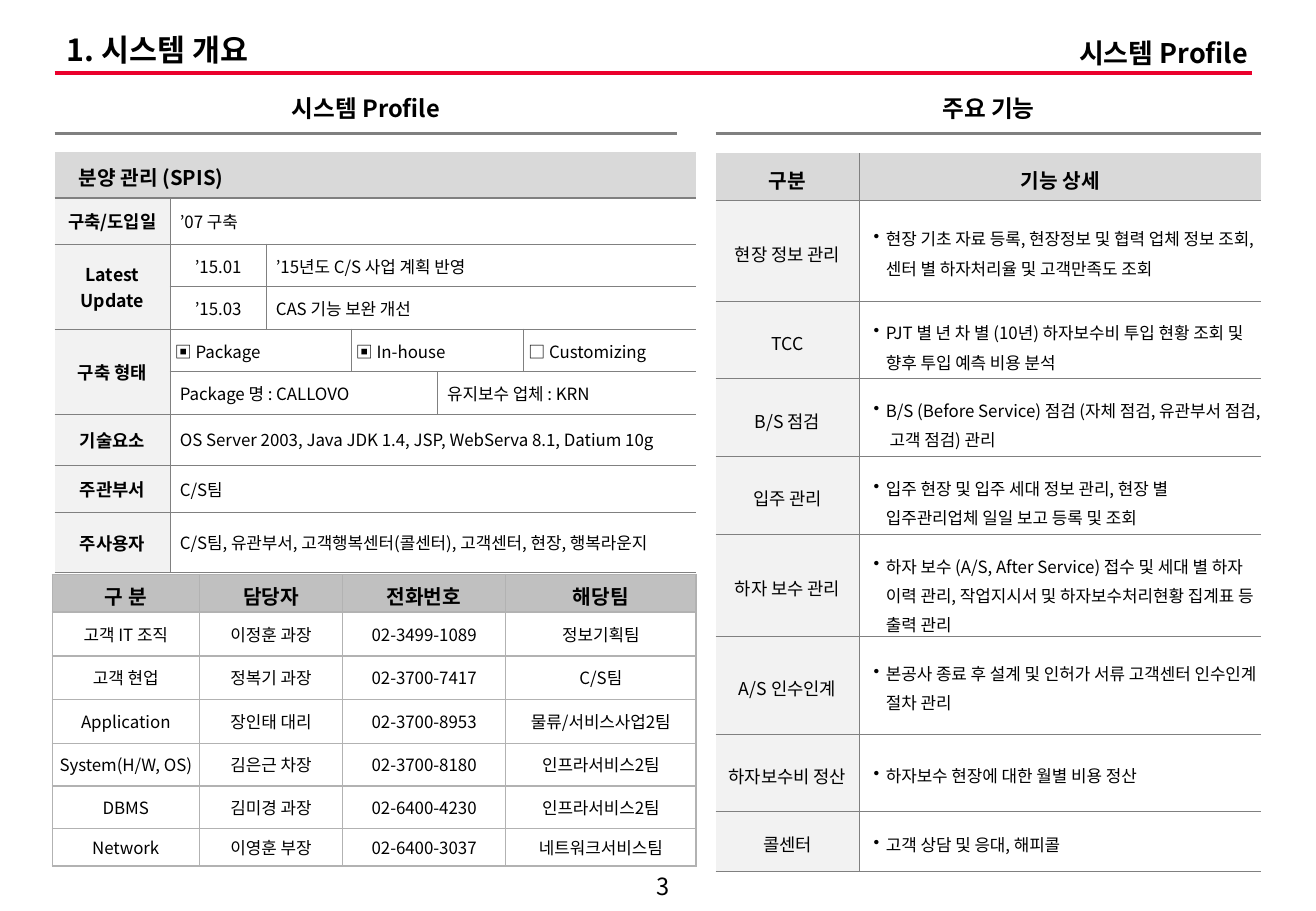
from lxml.etree import SubElement
from pptx import Presentation
from pptx.dml.color import RGBColor
from pptx.enum.shapes import MSO_CONNECTOR
from pptx.enum.text import MSO_ANCHOR as ANCHOR, MSO_AUTO_SIZE as AUTO, PP_ALIGN as ALIGN
from pptx.oxml.ns import qn
from pptx.util import Inches, Pt

FONT = "Noto Sans CJK KR"
GRAY = "808080"
LEFT, CENTER, RIGHT = ALIGN.LEFT, ALIGN.CENTER, ALIGN.RIGHT
SPACED = {"line_spacing": 1.2, "space_before": Pt(2), "space_after": Pt(2)}
RAISED = {"space_before": Pt(2)}

STYLES = {
    "banner": dict(size=12, bold=True, align=LEFT, fill="D9D9D9", pad=(0.2, 0.08, 0.04)),
    "label": dict(size=10.5, bold=True, fill="F2F2F2", pad=(0, 0.08, 0)),
    "value": dict(align=LEFT, fill="FFFFFF", pad=(0.08, 0.08, 0.08)),
    "month": dict(fill="FFFFFF", pad=(0.08, 0.08, 0.08)),
    "option": dict(align=LEFT, fill="FFFFFF", pad=(0.04, 0.08, 0.04)),
    "contact_head": dict(size=12, bold=True, fill="C0C0C0", pad=(0.11, 0.05, 0.11), para=RAISED),
    "contact_role": dict(pad=(0, 0.05, 0), para=RAISED),
    "contact": dict(pad=(0.11, 0.05, 0.11), para=RAISED),
    "feature_head": dict(size=12, bold=True, fill="D9D9D9", pad=(0.04, 0.04, 0.04), para=SPACED),
    "feature": dict(size=10.5, fill="F2F2F2", pad=(0.04, 0.04, 0.04), para=SPACED),
    "detail": dict(align=LEFT, fill="FFFFFF", pad=(0.12, 0.12, 0.04), para=SPACED, bullet=True),
}

PROFILE = [
    (0, 0, 1, 6, "분양 관리 (SPIS)", "banner"),
    (1, 0, 1, 1, "구축/도입일", "label"),
    (1, 1, 1, 5, "’07 구축", "value"),
    (2, 0, 2, 1, "Latest\nUpdate", "label"),
    (2, 1, 1, 1, "’15.01", "month"),
    (2, 2, 1, 4, "’15년도 C/S 사업 계획 반영", "value"),
    (3, 1, 1, 1, "’15.03", "month"),
    (3, 2, 1, 4, "CAS 기능 보완 개선", "value"),
    (4, 0, 2, 1, "구축 형태", "label"),
    (4, 1, 1, 2, "▣ Package", "option"),
    (4, 3, 1, 2, "▣ In-house", "option"),
    (4, 5, 1, 1, "□ Customizing", "option"),
    (5, 1, 1, 3, "Package 명 : CALLOVO", "value"),
    (5, 4, 1, 2, "유지보수 업체 : KRN", "value"),
    (6, 0, 1, 1, "기술요소", "label"),
    (6, 1, 1, 5, "OS Server 2003, Java JDK 1.4, JSP, WebServa 8.1, Datium 10g", "value"),
    (7, 0, 1, 1, "주관부서", "label"),
    (7, 1, 1, 5, "C/S팀", "value"),
    (8, 0, 1, 1, "주사용자", "label"),
    (8, 1, 1, 5, "C/S팀, 유관부서, 고객행복센터(콜센터), 고객센터, 현장, 행복라운지", "value"),
]

CONTACTS = [
    ("구 분", "담당자", "전화번호", "해당팀"),
    ("고객 IT 조직", "이정훈 과장", "02-3499-1089", "정보기획팀"),
    ("고객 현업", "정복기 과장", "02-3700-7417", "C/S팀"),
    ("Application", "장인태 대리", "02-3700-8953", "물류/서비스사업2팀"),
    ("System(H/W, OS)", "김은근 차장", "02-3700-8180", "인프라서비스2팀"),
    ("DBMS", "김미경 과장", "02-6400-4230", "인프라서비스2팀"),
    ("Network", "이영훈 부장", "02-6400-3037", "네트워크서비스팀"),
]

FEATURES = [
    ("구분", "기능 상세"),
    ("현장 정보 관리", "현장 기초 자료 등록, 현장정보 및 협력 업체 정보 조회, 센터 별 하자처리율 및 고객만족도 조회"),
    ("TCC", "PJT 별 년 차 별 (10년) 하자보수비 투입 현황 조회 및 향후 투입 예측 비용 분석"),
    ("B/S 점검", "B/S (Before Service) 점검 (자체 점검, 유관부서 점검, 고객 점검) 관리"),
    ("입주 관리", "입주 현장 및 입주 세대 정보 관리, 현장 별 입주관리업체 일일 보고 등록 및 조회"),
    ("하자 보수 관리", "하자 보수 (A/S, After Service) 접수 및 세대 별 하자 이력 관리, "
     "작업지시서 및 하자보수처리현황 집계표 등 출력 관리"),
    ("A/S 인수인계", "본공사 종료 후 설계 및 인허가 서류 고객센터 인수인계 절차 관리"),
    ("하자보수비 정산", "하자보수 현장에 대한 월별 비용 정산"),
    ("콜센터", "고객 상담 및 응대, 해피콜"),
]


def color(value):
    return RGBColor.from_string(value)


def write(tf, text, size=10, bold=False, align=CENTER, para=None, bullet=False):
    for i, line in enumerate(text.split("\n")):
        p = tf.add_paragraph() if i else tf.paragraphs[0]
        p.alignment = align
        for name, value in (para or {}).items():
            setattr(p, name, value)
        if bullet:
            pPr = p._p.get_or_add_pPr()
            pPr.set("marL", str(Inches(0.1)))
            pPr.set("indent", str(Inches(-0.1)))
            SubElement(pPr, qn("a:buChar"), char="•")
        r = p.add_run()
        r.text = line
        r.font.color.rgb = color("000000")
        for name, value in {"size": Pt(size), "bold": bold, "name": FONT}.items():
            setattr(r.font, name, value)
        SubElement(r._r.get_or_add_rPr(), qn("a:ea"), typeface=FONT)


def add_text(s, box, text, anchor=ANCHOR.TOP, **fmt):
    tf = s.shapes.add_textbox(*map(Inches, box)).text_frame
    tf.word_wrap = True
    tf.vertical_anchor = anchor
    write(tf, text, **fmt)


def add_rule(s, x, y, width, line, weight):
    sp = s.shapes.add_connector(MSO_CONNECTOR.STRAIGHT, *map(Inches, (x, y, x + width, y)))
    sp.line.color.rgb = color(line)
    sp.line.width = Pt(weight)
    SubElement(sp._element.spPr, qn("a:effectLst"))


def add_border(cell, side, line, weight):
    ln = SubElement(cell._tc.get_or_add_tcPr(), qn(f"a:ln{side}"), w=str(Pt(weight)))
    if line:
        fill = SubElement(ln, qn("a:solidFill"))
        SubElement(fill, qn("a:srgbClr"), val=line)
    else:
        SubElement(ln, qn("a:noFill"))


def style_cell(cell, text, pad, fill=None, **fmt):
    left, edge, right = map(Inches, pad)
    margins = {"margin_left": left, "margin_top": edge, "margin_right": right,
               "margin_bottom": edge, "vertical_anchor": ANCHOR.MIDDLE}
    for name, value in margins.items():
        setattr(cell, name, value)
    if fill:
        cell.fill.solid()
        cell.fill.fore_color.rgb = color(fill)
    else:
        cell.fill.background()
    write(cell.text_frame, text, **fmt)


def add_grid(s, x, y, widths, heights, cells, line=GRAY, weight=0.75, framed=False):
    box = map(Inches, (x, y, sum(widths), sum(heights)))
    table = s.shapes.add_table(len(heights), len(widths), *box).table
    table.first_row = table.horz_banding = False
    for column, width in zip(table.columns, widths):
        column.width = Inches(width)
    for row, height in zip(table.rows, heights):
        row.height = Inches(height)
    for row, col, down, across, text, style in cells:
        cell = table.cell(row, col)
        if down * across > 1:
            cell.merge(table.cell(row + down - 1, col + across - 1))
        inner = {"L": col > 0, "R": col + across < len(widths), "T": row > 0, "B": True}
        for r in range(row, row + down):
            for c in range(col, col + across):
                for side, shown in inner.items():
                    add_border(table.cell(r, c), side, line if shown or framed else None, weight)
        style_cell(cell, text, **STYLES[style])


def plain_cells(rows, head, first, rest):
    return [(i, j, 1, 1, text, head if i == 0 else rest if j else first)
            for i, row in enumerate(rows) for j, text in enumerate(row)]


def add_header(s, x, y, width):
    sp = s.shapes.title
    for name, value in zip(("left", "top", "width", "height"), (x, y, 8.03, 0.37)):
        setattr(sp, name, Inches(value))
    tf = sp.text_frame
    tf.auto_size = AUTO.NONE
    tf.vertical_anchor = ANCHOR.MIDDLE
    write(tf, "1. 시스템 개요", size=18, bold=True, align=LEFT, para={"line_spacing": 0.9})
    add_text(s, (x + 7.18, y + 0.01, 2.74, 0.37), "시스템 Profile", size=16, bold=True, align=RIGHT)
    add_rule(s, x, y + 0.36, width, "EA002C", 2.25)


def add_heading(s, x, y, width, text):
    add_text(s, (x, y, width, 0.34), text, size=14, bold=True)
    add_rule(s, x, y + 0.38, width, GRAY, 1.5)


def add_profile_side(s, x, y):
    add_heading(s, x, y, 5.12, "시스템 Profile")
    add_grid(s, x, y + 0.53, [0.95, 0.79, 0.7, 0.71, 0.71, 1.42],
             [0.38, 0.38] + [0.35] * 4 + [0.42, 0.39, 0.49], PROFILE)
    add_grid(s, x - 0.02, y + 4.01, [1.21, 1.18, 1.34, 1.57],
             [0.31, 0.36, 0.36, 0.36, 0.35, 0.35, 0.31],
             plain_cells(CONTACTS, "contact_head", "contact_role", "contact"),
             line="B2B2B2", weight=1, framed=True)


def add_feature_side(s, x, y):
    add_heading(s, x, y, 4.49, "주요 기능")
    add_grid(s, x, y + 0.54, [1.18, 3.31],
             [0.39, 0.83, 0.63, 0.63, 0.63, 0.83, 0.81, 0.63, 0.5],
             plain_cells(FEATURES, "feature_head", "feature", "detail"))


def main():
    prs = Presentation()
    prs.slide_width, prs.slide_height = Inches(10.83), Inches(7.5)
    s = prs.slides.add_slide(prs.slide_layouts[5])
    add_header(s, 0.45, 0.24, 9.85)
    add_profile_side(s, 0.45, 0.72)
    add_feature_side(s, 5.89, 0.72)
    add_text(s, (5.1, 7.14, 0.71, 0.31), "3", anchor=ANCHOR.MIDDLE, size=14)
    prs.save("out.pptx")


if __name__ == "__main__":
    main()
